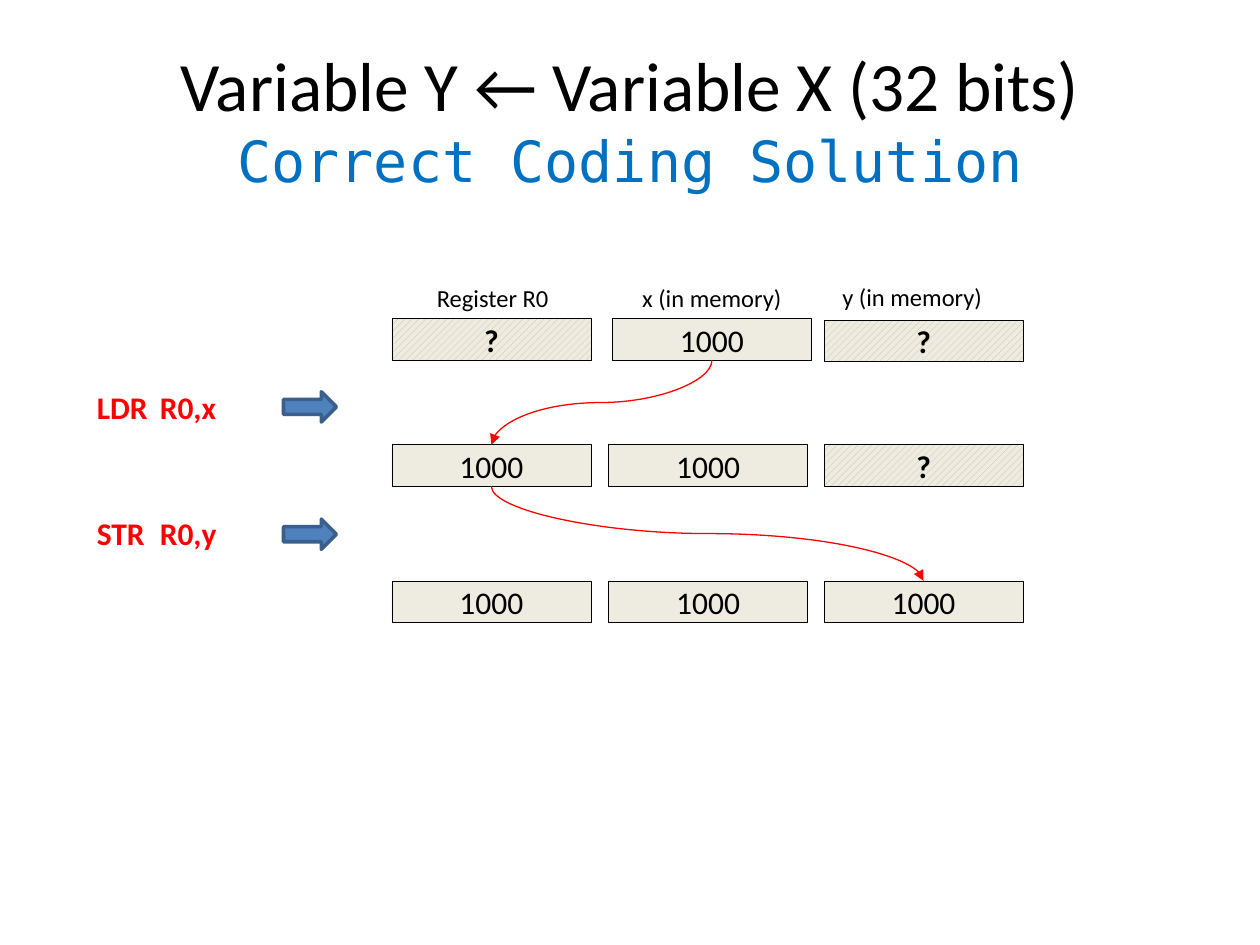
from lxml import etree
from pptx import Presentation
from pptx.dml.color import RGBColor
from pptx.enum.dml import MSO_PATTERN
from pptx.enum.shapes import MSO_CONNECTOR, MSO_SHAPE
from pptx.enum.text import MSO_ANCHOR, PP_ALIGN
from pptx.oxml.ns import qn
from pptx.util import Inches, Pt

RECT, RIGHT_ARROW = MSO_SHAPE.RECTANGLE, MSO_SHAPE.RIGHT_ARROW
CURVE = MSO_CONNECTOR.CURVE
HATCH = MSO_PATTERN.WIDE_UPWARD_DIAGONAL
LEFT, CENTER = PP_ALIGN.LEFT, PP_ALIGN.CENTER
TOP, MIDDLE = MSO_ANCHOR.TOP, MSO_ANCHOR.MIDDLE

BLACK = RGBColor(0x00, 0x00, 0x00)
RED = RGBColor(0xFF, 0x00, 0x00)
SKY = RGBColor(0x00, 0x70, 0xC0)
BLUE = RGBColor(0x4F, 0x81, 0xBD)
NAVY = RGBColor(0x3A, 0x5F, 0x8C)
CREAM = RGBColor(0xEE, 0xEC, 0xE1)
TAN = RGBColor(0xC4, 0xBD, 0x97)

COLUMNS, ROWS = 100, 75
CELL_W, CELL_H = 15.8, 3.3
UNKNOWN = "?"


class Deck:
    font = "Calibri"
    mono = "DejaVu Sans Mono"

    def __init__(self):
        self.prs = Presentation()
        self.prs.slide_width, self.prs.slide_height = Inches(10), Inches(7.5)
        self.s = self.prs.slides.add_slide(self.prs.slide_layouts[6])

    def grid(self, x, y, w, h):
        col = self.prs.slide_width / COLUMNS
        row = self.prs.slide_height / ROWS
        return [round(n) for n in (x * col, y * row, w * col, h * row)]

    def set_text(self, sp, text, size, color=BLACK, bold=False, align=CENTER, anchor=TOP):
        tf = sp.text_frame
        tf.word_wrap = True
        tf.vertical_anchor = anchor
        p = tf.paragraphs[0]
        p.text = text
        p.alignment = align
        p.font.name, p.font.size = self.font, Pt(size)
        p.font.bold, p.font.color.rgb = bold, color

    def title(self, heading, subheading, box):
        tf = self.s.shapes.add_textbox(*self.grid(*box)).text_frame
        tf.word_wrap = True
        tf.vertical_anchor = MIDDLE
        p = tf.paragraphs[0]
        p.alignment = CENTER
        styles = ((heading, self.font, 39.6, BLACK), (subheading, self.mono, 32.4, SKY))
        for i, (text, font, size, color) in enumerate(styles):
            if i:
                p.add_line_break()
            r = p.add_run()
            r.text = text
            r.font.name, r.font.size, r.font.color.rgb = font, Pt(size), color

    def label(self, text, box, size, **style):
        self.set_text(self.s.shapes.add_textbox(*self.grid(*box)), text, size, **style)

    def shape(self, kind, box, fill, line, width):
        sp = self.s.shapes.add_shape(kind, *self.grid(*box))
        sp.shadow.inherit = False
        sp.fill.solid()
        sp.fill.fore_color.rgb = fill
        sp.line.color.rgb, sp.line.width = line, Pt(width)
        return sp

    def cell(self, value, x, y):
        sp = self.shape(RECT, (x, y, CELL_W, CELL_H), CREAM, BLACK, 0.25)
        if value == UNKNOWN:
            sp.fill.patterned()
            sp.fill.pattern = HATCH
            sp.fill.fore_color.rgb, sp.fill.back_color.rgb = TAN, CREAM
        self.set_text(sp, value, 18, bold=value == UNKNOWN, anchor=MIDDLE)
        return sp

    def step_arrow(self, x, y):
        self.shape(RIGHT_ARROW, (x, y, 4.2, 2.4), BLUE, NAVY, 2)

    def transfer(self, source, target):
        x1, y1 = source.left + source.width // 2, source.top + source.height
        x2, y2 = target.left + target.width // 2, target.top
        drop, span = y2 - y1, abs(x2 - x1)
        left, top = (x1 + x2 - drop) // 2, (y1 + y2 - span) // 2
        begin, end = left, left + drop
        rightward = x2 > x1
        if rightward:
            begin, end = end, begin
        c = self.s.shapes.add_connector(CURVE, begin, top, end, top + span)
        c.line.color.rgb, c.line.width = RED, Pt(0.75)
        props = c._element.spPr
        props.find(qn("a:xfrm")).set("rot", str((270 if rightward else 90) * 60000))
        etree.SubElement(props.find(qn("a:ln")), qn("a:tailEnd"), type="triangle")
        etree.SubElement(props, qn("a:effectLst"))


def main():
    deck = Deck()
    deck.title("Variable Y ← Variable X (32 bits)", "Correct Coding Solution", (5, 3.1, 90, 12.5))

    headings = (("Register R0", 31.2, 22), ("x (in memory)", 48.6, 22), ("y (in memory)", 64.5, 21.9))
    for text, x, y in headings:
        deck.label(text, (x, y, CELL_W, 3.4), 14)

    states = (
        ((UNKNOWN, 31.1, 25.3), ("1000", 48.6, 25.3), (UNKNOWN, 65.4, 25.4)),
        (("1000", 31.1, 35.3), ("1000", 48.3, 35.3), (UNKNOWN, 65.4, 35.3)),
        (("1000", 31.1, 46.1), ("1000", 48.3, 46.1), ("1000", 65.4, 46.1)),
    )
    before, loaded, stored = [[deck.cell(*cell) for cell in state] for state in states]

    for i, code in enumerate(("LDR\tR0,x", "STR\tR0,y")):
        deck.label(code, (6.7, 30.3 + 10 * i, 16.1, 4), 18, color=RED, bold=True, align=LEFT)
        deck.step_arrow(22.5, 31.1 + 10.1 * i)

    deck.transfer(before[1], loaded[0])
    deck.transfer(loaded[0], stored[2])
    deck.prs.save("out.pptx")


if __name__ == "__main__":
    main()
